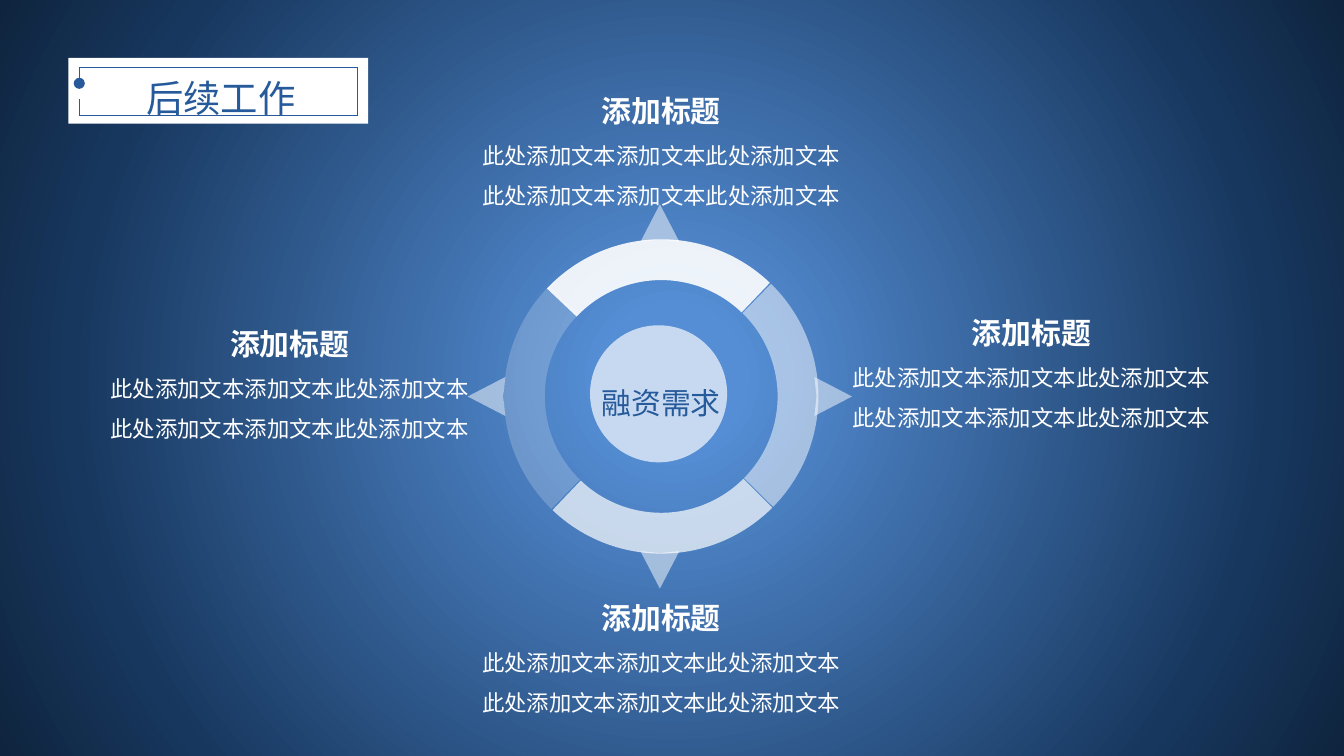
from dataclasses import dataclass

from pptx import Presentation
from pptx.dml.color import RGBColor
from pptx.enum.shapes import MSO_CONNECTOR, MSO_SHAPE
from pptx.enum.text import MSO_AUTO_SIZE, PP_ALIGN
from pptx.oxml import parse_xml
from pptx.oxml.ns import nsdecls, qn
from pptx.util import Emu, Pt
from lxml.etree import SubElement

COLUMNS, ROWS = 100, 56.25  # square grid cells, ten to the inch


@dataclass(frozen=True)
class Theme:
    font: str = "Noto Sans CJK SC"
    white: str = "FFFFFF"
    accent: str = "265A9A"
    backdrop: tuple = ((9, "558ED5"), (78, "17375E"), (100, "0F243E"))
    title_size: int = 20
    heading_size: int = 16
    body_size: int = 12
    line_spacing: float = 1.5
    hairline: float = 0.25


class SlideBuilder:
    def __init__(self, presentation, theme):
        self.theme = theme
        self.cell = presentation.slide_width / COLUMNS
        self.slide = presentation.slides.add_slide(presentation.slide_layouts[6])
        self.shapes = self.slide.shapes

    def grid(self, *cells):
        return [Emu(round(value * self.cell)) for value in cells]

    def radial_background(self):
        stops = "".join(
            f'<a:gs pos="{position * 1000}"><a:srgbClr val="{color}"/></a:gs>'
            for position, color in self.theme.backdrop)
        background = parse_xml(
            f'<p:bg {nsdecls("p", "a")}><p:bgPr><a:gradFill rotWithShape="1">'
            f'<a:gsLst>{stops}</a:gsLst><a:path path="circle">'
            '<a:fillToRect l="50000" t="50000" r="50000" b="50000"/></a:path>'
            '</a:gradFill><a:effectLst/></p:bgPr></p:bg>')
        self.slide.element.cSld.insert(0, background)

    def paint(self, shape, opacity):
        shape.shadow.inherit = False
        shape.line.fill.background()
        shape.fill.solid()
        shape.fill.fore_color.rgb = RGBColor.from_string(self.theme.white)
        if opacity < 100:
            color = shape.element.spPr.find(qn("a:solidFill"))[0]
            SubElement(color, qn("a:alpha"), val=str(opacity * 1000))
        return shape

    def preset(self, kind, box, opacity=100):
        return self.paint(self.shapes.add_shape(kind, *self.grid(*box)), opacity)

    def arc(self, box, rotation, flips, adjustments, opacity):
        arc = self.preset(MSO_SHAPE.BLOCK_ARC, box, opacity)
        for index, value in enumerate(adjustments):
            arc.adjustments[index] = value
        arc.rotation = rotation
        for flip in flips:
            arc.element.spPr.xfrm.set(flip, "1")

    def polygon(self, points, opacity):
        start, *rest = [self.grid(*point) for point in points]
        outline = self.shapes.build_freeform(*start)
        outline.add_line_segments(rest, close=True)
        self.paint(outline.convert_to_shape(), opacity)

    def line(self, start, end, dot=False):
        line = self.shapes.add_connector(
            MSO_CONNECTOR.STRAIGHT, *self.grid(*start, *end))
        line.line.color.rgb = RGBColor.from_string(self.theme.accent)
        line.line.width = Pt(self.theme.hairline)
        if dot:
            SubElement(line.line._get_or_add_ln(), qn("a:tailEnd"), type="oval")
        SubElement(line.element.spPr, qn("a:effectLst"))

    def text(self, box, paragraphs):
        """Each paragraph is (wording, size, color, bold)."""
        frame = self.shapes.add_textbox(*self.grid(*box)).text_frame
        frame.word_wrap = True
        frame.auto_size = MSO_AUTO_SIZE.SHAPE_TO_FIT_TEXT
        for index, (wording, size, color, bold) in enumerate(paragraphs):
            paragraph = frame.add_paragraph() if index else frame.paragraphs[0]
            paragraph.alignment = PP_ALIGN.CENTER
            paragraph.line_spacing = self.theme.line_spacing
            run = paragraph.add_run()
            run.text = wording
            run.font.size = Pt(size)
            run.font.bold = bold
            run.font.color.rgb = RGBColor.from_string(color)
            run.font.name = self.theme.font
            SubElement(run.font._element, qn("a:ea"), typeface=self.theme.font)

    def caption(self, box):
        theme = self.theme
        body = ("此处添加文本添加文本此处添加文本", theme.body_size, theme.white, False)
        heading = ("添加标题", theme.heading_size, theme.white, True)
        self.text(box, [heading, body, body])


def main():
    theme = Theme()
    presentation = Presentation()
    presentation.slide_height = round(presentation.slide_width * ROWS / COLUMNS)
    # Keep square cells on a ten-inch-wide page
    builder = SlideBuilder(presentation, theme)
    builder.radial_background()

    # Title plate with a broken frame
    builder.preset(MSO_SHAPE.RECTANGLE, (5.1, 4.3, 22.3, 4.9))
    left, top, right, bottom = 5.9, 5, 26.6, 8.6
    gap_top, gap_bottom = 6.2, 7.4
    builder.line((left, top), (right, top))
    builder.line((right, top), (right, bottom))
    builder.line((right, bottom), (left, bottom))
    builder.line((left, top), (left, gap_top), dot=True)
    builder.line((left, bottom), (left, gap_bottom))
    builder.text((6.3, 3.4, 20.3, 5.5),
                 [("后续工作", theme.title_size, theme.accent, False)])

    # Top caption
    builder.caption((33.6, 5.1, 31.2, 11.1))

    # Ring of four quarter arcs
    quarter = (162.17, 0.37, 0.13)
    for flips, adjustments, opacity in (
            ((), quarter, 50),
            (("flipH",), quarter, 90),
            (("flipH", "flipV"), quarter, 20),
            (("flipV",), (162.17, 215.39, 0.13), 70)):
        builder.arc((37.5, 17.8, 23.4, 23.4), 44, flips, adjustments, opacity)

    # Pointers: base on the ring, tip outwards
    center_x, center_y = 49.1, 29.5
    base, bulge, tip, half_width = 11.5, 11.65, 14.3, 1.45
    for dx, dy in ((1, 0), (-1, 0), (0, -1), (0, 1)):
        builder.polygon(
            [(center_x + dx * out - dy * side, center_y + dy * out + dx * side)
             for out, side in ((base, -half_width), (tip, 0),
                               (base, half_width), (bulge, 0))], 50)

    # Hub
    builder.preset(MSO_SHAPE.FLOWCHART_CONNECTOR, (43.9, 24.2, 10.2, 10.2), 67)
    builder.text((42.5, 26.8, 13.4, 5),
                 [("融资需求", theme.heading_size, theme.accent, False)])

    # Right, bottom and left captions
    for box in ((61.9, 21.6, 29.7, 11.1),
                (33.6, 42.8, 31.2, 11.1),
                (6.4, 22.4, 30.3, 11.1)):
        builder.caption(box)

    presentation.save("out.pptx")


if __name__ == "__main__":
    main()
